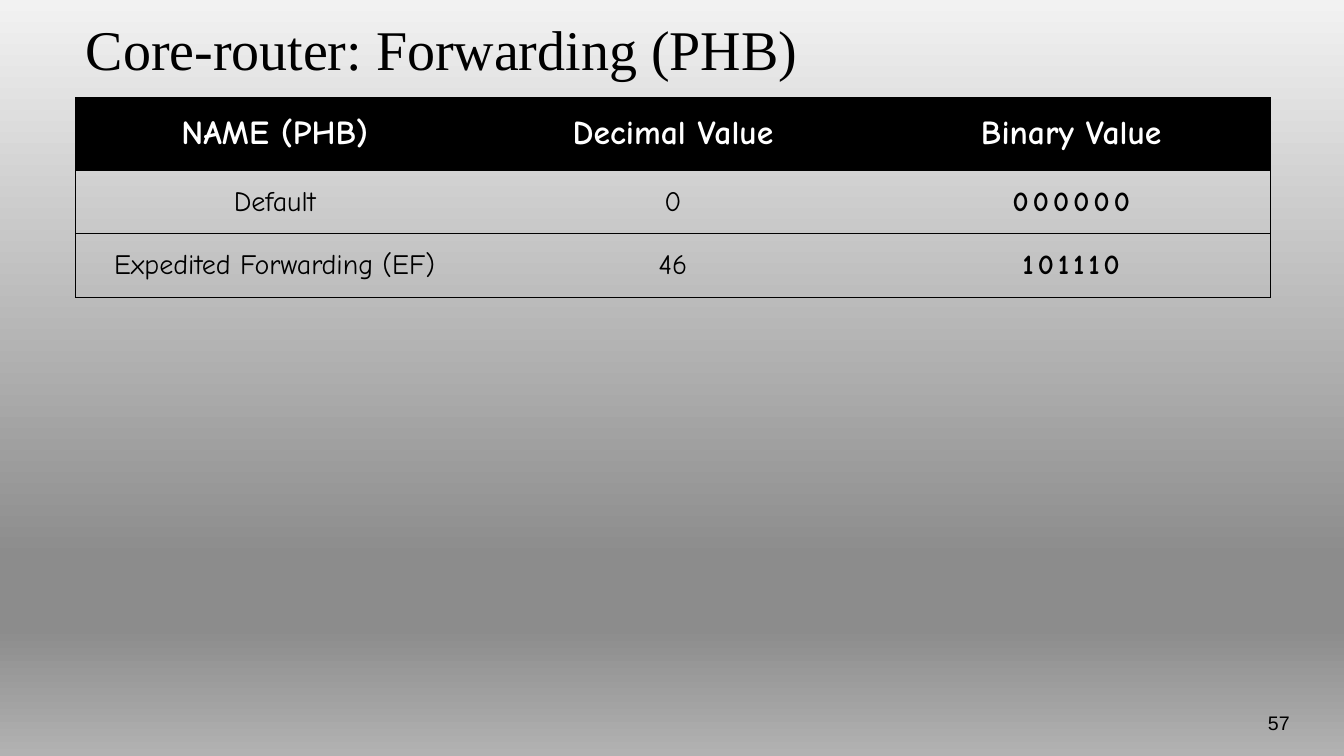
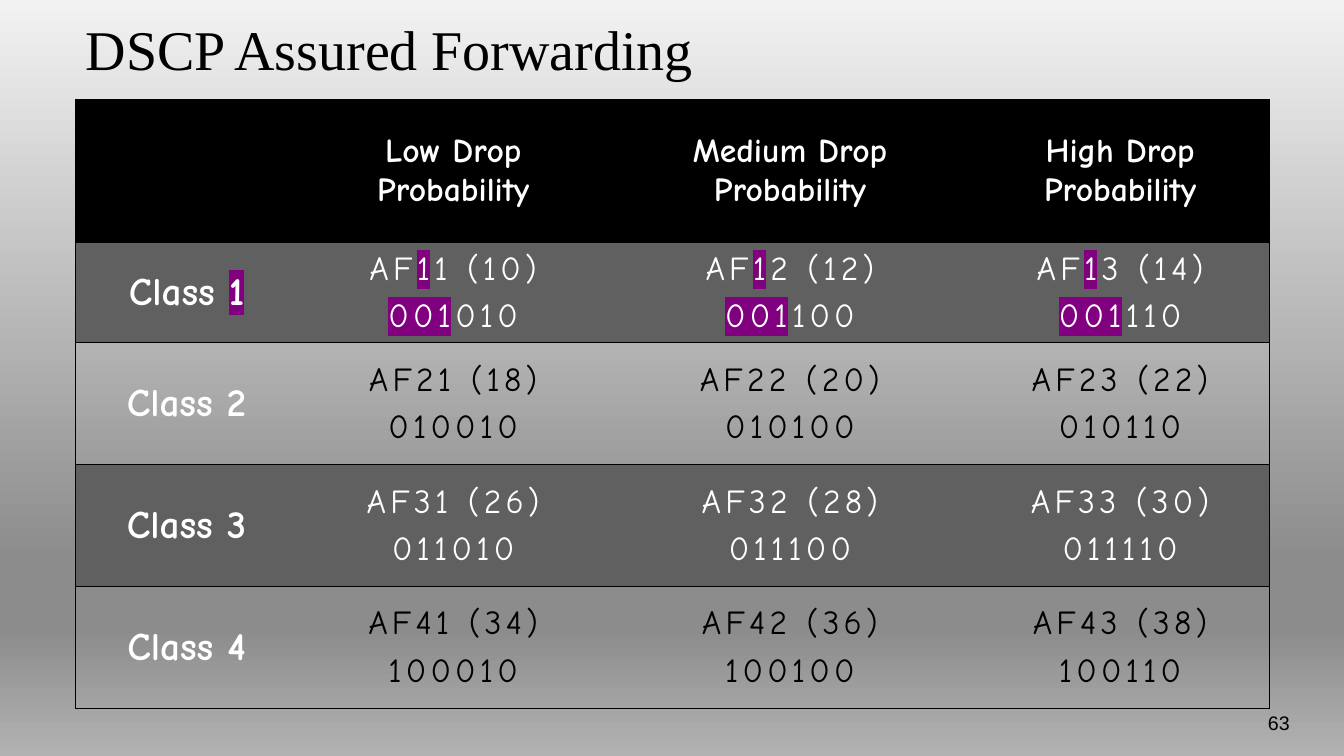
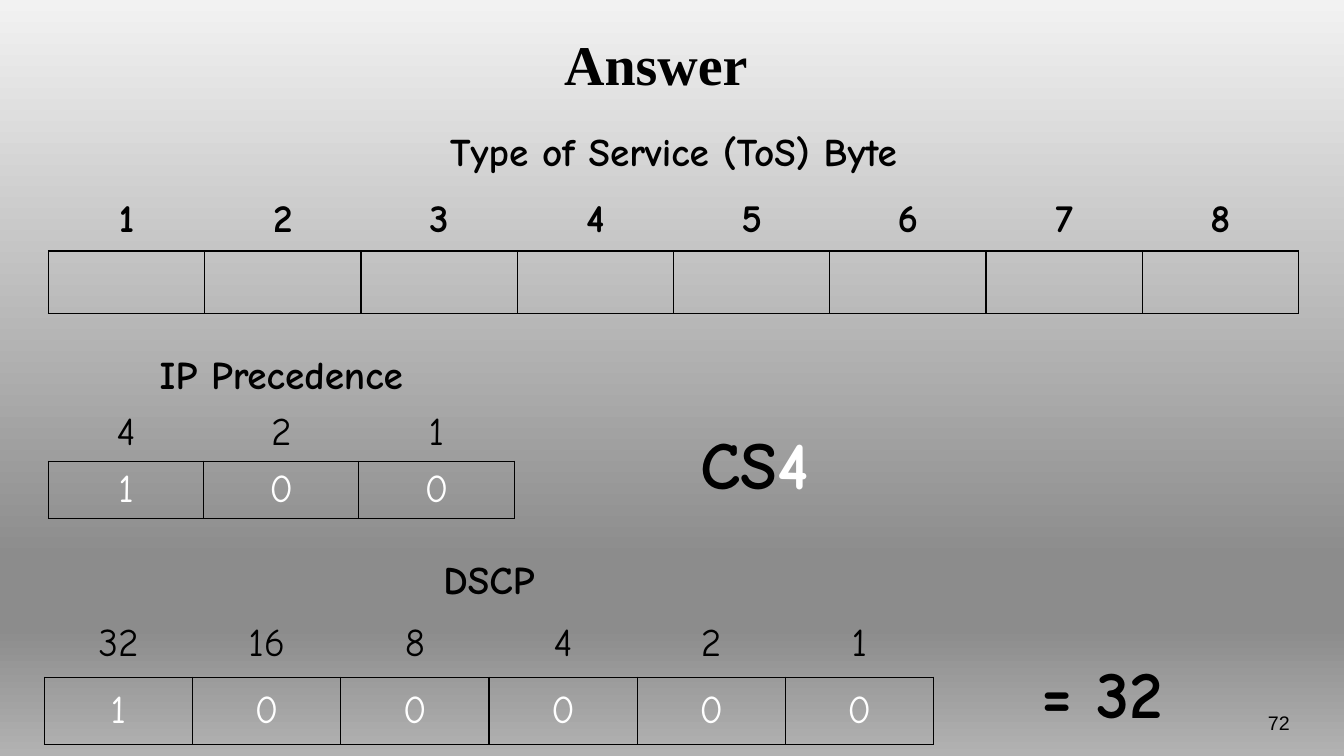
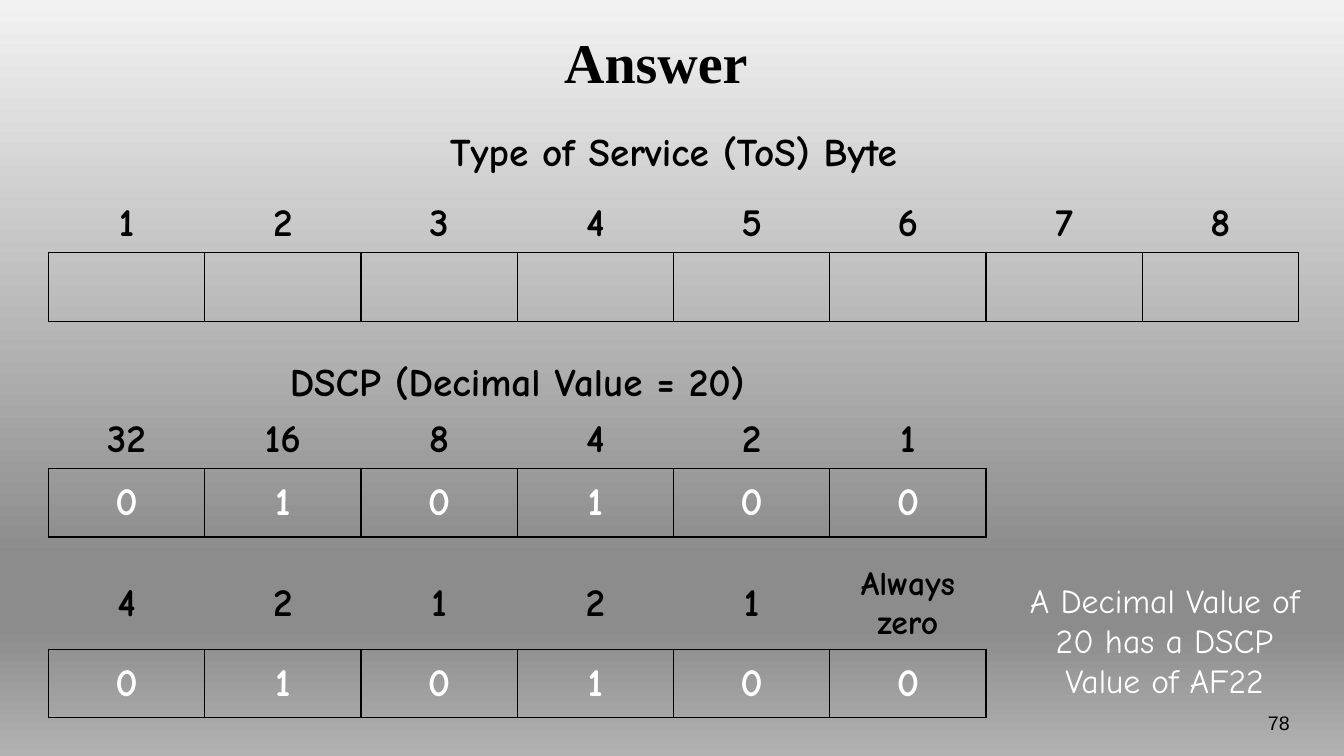
from lxml import etree
from pptx import Presentation
from pptx import util as u
from pptx.dml import color
from pptx.enum import text
from pptx.oxml import ns

# Shared style
BLACK, WHITE, GREY, PURPLE = "000000", "FFFFFF", "606060", "800080"
BACKDROP = [(0, "F2F2F2"), (74, "8C8C8C"), (83, "8C8C8C"), (100, "B2B2B2")]
TITLE_FONT, BODY_FONT, NUMBER_FONT = "Times New Roman", "Comic Neue", "Arial"
LEFT, CENTER, RIGHT = (text.PP_ALIGN.LEFT, text.PP_ALIGN.CENTER,
                       text.PP_ALIGN.RIGHT)
TOP, MIDDLE, BOTTOM = (text.MSO_ANCHOR.TOP, text.MSO_ANCHOR.MIDDLE,
                       text.MSO_ANCHOR.BOTTOM)
NO_STYLE = "{2D5ABB26-0587-4C30-8999-92F81FD0307C}"
BIT_WIDTH = 1.55


def rgb(hex_color):
    return color.RGBColor.from_string(hex_color)


def add_child(parent, tag, **attributes):
    return etree.SubElement(parent, ns.qn(tag), attributes)


def inches(values):
    return [u.Inches(value) for value in values]


# Text
def write_run(paragraph, words, ink=BLACK, spacing=0, highlight=None, **font):
    run = paragraph.add_run()
    run.text = words
    formats = {"name": BODY_FONT, "size": 24, "bold": False, **font}
    formats["size"] = u.Pt(formats["size"])
    for key, value in formats.items():
        setattr(run.font, key, value)
    run.font.color.rgb = rgb(ink)
    properties = run.font._element
    if spacing:
        properties.set("spc", str(spacing * 100))
    if highlight:
        mark = etree.Element(ns.qn("a:highlight"))
        add_child(mark, "a:srgbClr", val=highlight)
        properties.find(ns.qn("a:solidFill")).addnext(mark)


def write(frame, lines, align=CENTER, **font):
    """Each line is a string or a list of (words, extra format) runs."""
    for index, line in enumerate(lines):
        paragraph = frame.paragraphs[0] if index == 0 else frame.add_paragraph()
        paragraph.alignment = align
        if index:
            paragraph.space_before = u.Pt(6)
        for words, extra in [(line, {})] if isinstance(line, str) else line:
            write_run(paragraph, words, **{**font, **extra})


def add_note(slide, at, lines, align=CENTER, **font):
    frame = slide.shapes.add_textbox(*inches(at)).text_frame
    frame.word_wrap = True
    write(frame, lines, align, **font)


# Slide frame
def set_backdrop(master):
    fill = master.background.fill
    fill.gradient()
    fill.gradient_angle = 270
    stops = master.element.find(".//" + ns.qn("a:gsLst"))
    for stop in list(stops):
        stops.remove(stop)
    for percent, shade in BACKDROP:
        stop = add_child(stops, "a:gs", pos=str(percent * 1000))
        add_child(stop, "a:srgbClr", val=shade)


def add_slide(prs, heading, number, at=(0.75, 0, 11.84, 0.95), align=LEFT,
              bold=False):
    slide = prs.slides.add_slide(prs.slide_layouts[5])
    title = slide.shapes.title
    title.left, title.top, title.width, title.height = inches(at)
    frame = title.text_frame
    frame.auto_size = text.MSO_AUTO_SIZE.NONE
    frame.vertical_anchor = MIDDLE
    write(frame, [heading], align, name=TITLE_FONT, size=40, bold=bold)
    add_note(slide, (11.9, 7, 0.99, 0.5), [str(number)], RIGHT,
             name=NUMBER_FONT, size=14)
    return slide


# Tables
def add_table(slide, left, top, widths, heights):
    table = slide.shapes.add_table(
        len(heights), len(widths),
        *inches((left, top, sum(widths), sum(heights)))).table
    table.first_row = table.horz_banding = False
    table._tbl.tblPr.find(ns.qn("a:tableStyleId")).text = NO_STYLE
    for column, width in zip(table.columns, widths):
        column.width = u.Inches(width)
    for row, height in zip(table.rows, heights):
        row.height = u.Inches(height)
    return table


def style_cell(cell, sides="", line_width=0.75, fill=None, anchor=MIDDLE):
    properties = cell._tc.get_or_add_tcPr()
    for side in "LRTB":
        line = add_child(properties, "a:ln" + side,
                         w=str(int(u.Pt(line_width))))
        if side in sides:
            add_child(add_child(line, "a:solidFill"), "a:srgbClr", val=BLACK)
        else:
            add_child(line, "a:noFill")
    if fill:
        cell.fill.solid()
        cell.fill.fore_color.rgb = rgb(fill)
    else:
        cell.fill.background()
    cell.vertical_anchor = anchor


def add_ruled_table(slide, top, widths, heights, headers, striped=False):
    """Black header, outer frame and rules between rows."""
    table = add_table(slide, 0.75, top, widths, heights)
    last = len(widths) - 1
    for r in range(len(heights)):
        fill = BLACK if r == 0 else GREY if striped and r % 2 else None
        for c in range(len(widths)):
            sides = "TB" + "L" * (c == 0) + "R" * (c == last)
            style_cell(table.cell(r, c), sides, fill=fill)
    for c, header in enumerate(headers):
        if header:
            write(table.cell(0, c).text_frame, [header], ink=WHITE, bold=True)
    return table


def add_bit_grid(slide, left, top, heights, weights, bits="", heading=None,
                 width=BIT_WIDTH, anchor=BOTTOM, bold=True):
    """Optional heading, a row of bit weights, and a row of boxed bits."""
    count = len(weights)
    table = add_table(slide, left, top, [width] * count, heights)
    weight_row = len(heights) - 2
    if heading:
        for c in range(count):
            style_cell(table.cell(0, c), anchor=anchor)
        table.cell(0, 0).merge(table.cell(0, count - 1))
        write(table.cell(0, 0).text_frame, [heading], size=28, bold=True)
    for c, weight in enumerate(weights):
        label, box = table.cell(weight_row, c), table.cell(weight_row + 1, c)
        style_cell(label, "B", 1)
        style_cell(box, "LRTB", 1)
        write(label.text_frame, [weight], bold=bold,
              size=28 if weight.isdigit() else 24)
        if bits:
            write(box.text_frame, [bits[c]], ink=WHITE, size=28, bold=bold)


def add_tos_byte(slide, heights):
    add_bit_grid(slide, 0.48, 1.25, heights, "12345678",
                 heading="Type of Service (ToS) Byte", anchor=TOP)


# Slides
def forwarding_slide(prs):
    slide = add_slide(prs, "Core-router: Forwarding (PHB)", 57)
    table = add_ruled_table(slide, 0.97, [3.95] * 3, [0.72, 0.63, 0.63],
                            ["NAME (PHB)", "Decimal Value", "Binary Value"])
    behaviours = [("Default", 0), ("Expedited Forwarding (EF)", 46)]
    for r, (behaviour, value) in enumerate(behaviours, 1):
        for c, words in enumerate((behaviour, str(value))):
            write(table.cell(r, c).text_frame, [words], size=20)
        write(table.cell(r, 2).text_frame, [f"{value:06b}"], size=20,
              bold=True, spacing=3)


def assured_slide(prs):
    slide = add_slide(prs, "DSCP Assured Forwarding", 63)
    table = add_ruled_table(
        slide, 0.99, [2.2, 3.09, 3.59, 2.96], [1.42, 0.99] + [1.21] * 3,
        ["", "Low Drop Probability", "Medium Drop Probability",
         "High Drop Probability"], striped=True)
    for level in range(1, 5):
        mark = {"highlight": PURPLE} if level == 1 else {}
        write(table.cell(level, 0).text_frame,
              [[("Class ", {}), (str(level), mark)]],
              ink=WHITE, size=28, bold=True)
        for drop in range(1, 4):
            code = [("AF", {}), (str(level), mark),
                    (f"{drop} ({8 * level + 2 * drop})", {})]
            binary = [(f"{level:03b}", mark), (f"{2 * drop:03b}", {})]
            write(table.cell(level, drop).text_frame, [code, binary],
                  ink=WHITE if level % 2 else BLACK, spacing=3)


def class_selector_slide(prs):
    slide = add_slide(prs, "Answer", 72, (0.84, 0.32, 11.33, 0.61), CENTER,
                      True)
    add_tos_byte(slide, [0.62] * 3)
    add_bit_grid(slide, 0.48, 3.44, [0.55] * 3, "421", "100",
                 "IP Precedence", width=1.54, bold=False)
    add_bit_grid(slide, 0.44, 5.38, [0.67] * 3,
                 ["32", "16", "8", "4", "2", "1"], "100000", "DSCP",
                 width=1.47, bold=False)
    add_note(slide, (6.51, 4.14, 1.95, 0.91),
             [[("CS", {}), ("4", {"ink": WHITE})]], size=48, bold=True)
    add_note(slide, (9.96, 6.41, 1.95, 0.91), ["= 32"], size=48, bold=True)


def decimal_slide(prs):
    slide = add_slide(prs, "Answer", 78, (0.84, 0.32, 11.33, 0.57), CENTER,
                      True)
    heights = [0.69, 0.55, 0.68]
    add_tos_byte(slide, heights)
    add_bit_grid(slide, 0.48, 3.39, heights,
                 ["32", "16", "8", "4", "2", "1"], "010100",
                 "DSCP (Decimal Value = 20)")
    add_bit_grid(slide, 0.48, 5.54, [0.87, 0.68],
                 ["4", "2", "1", "2", "1", "Always zero"], "010100")
    add_note(slide, (9.98, 5.7, 3.14, 1.31),
             ["A Decimal Value of 20 has a DSCP Value of AF22"], ink=WHITE)


def main():
    prs = Presentation()
    prs.slide_width, prs.slide_height = inches((13.33, 7.5))
    set_backdrop(prs.slide_master)
    for build in (forwarding_slide, assured_slide, class_selector_slide,
                  decimal_slide):
        build(prs)
    prs.save("out.pptx")


if __name__ == "__main__":
    main()
